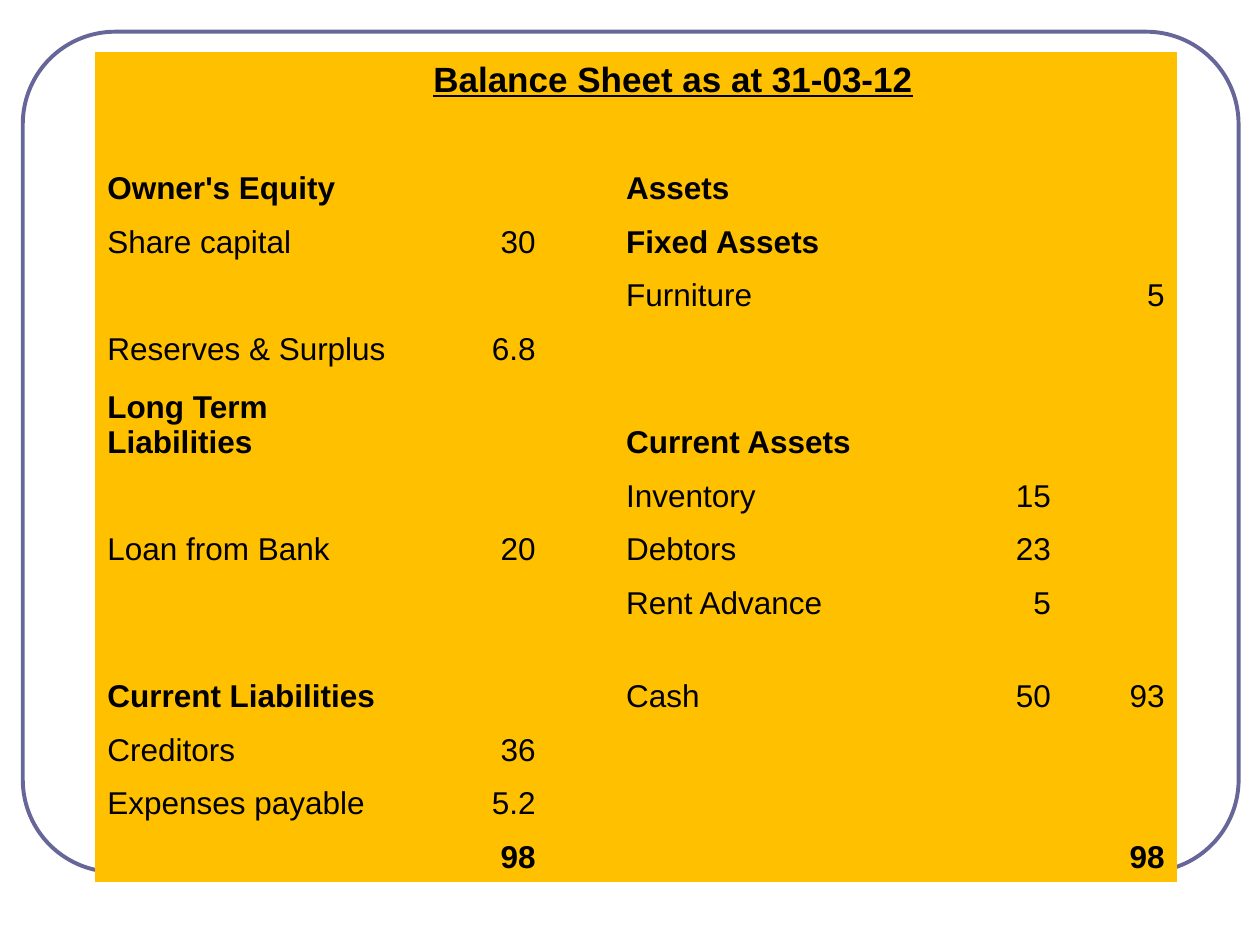
from typing import NamedTuple

from pptx import Presentation
from pptx.dml.color import RGBColor
from pptx.enum.shapes import MSO_SHAPE as Preset
from pptx.enum.text import MSO_ANCHOR as Anchor, PP_ALIGN as Align
from pptx.oxml.ns import qn
from pptx.util import Cm, Pt

GOLD = RGBColor(0xFF, 0xC0, 0x00)
SLATE = RGBColor(0x66, 0x66, 0x99)
BLACK = RGBColor(0x00, 0x00, 0x00)

NO_GRID_STYLE = "{2D5ABB26-0587-4C30-8999-92F81FD0307C}"
COLUMN_WIDTHS = [3.5, 3.07, 2.57, 1.32, 6.81, 2.26, 2.29]
ROW_COUNT = 14
ROW_HEIGHT = 1.08
TALL_ROW_HEIGHT = 1.88
TALL_ROWS = (6, 10)
EQUITY, EQUITY_AMOUNT, ASSET, ASSET_DETAIL, ASSET_TOTAL = 0, 2, 4, 5, 6


class Entry(NamedTuple):
    row: int
    column: int
    text: str
    span: int = 1
    bold: bool = False


HEADINGS = [
    Entry(2, EQUITY, "Owner's Equity", 2, True),
    Entry(2, ASSET, "Assets", 1, True),
    Entry(3, ASSET, "Fixed Assets", 1, True),
    Entry(6, EQUITY, "Long Term Liabilities", 2, True),
    Entry(6, ASSET, "Current Assets", 3, True),
    Entry(10, EQUITY, "Current Liabilities", 4, True),
]
ITEMS = [
    Entry(3, EQUITY, "Share capital", 2),
    Entry(4, ASSET, "Furniture"),
    Entry(5, EQUITY, "Reserves & Surplus", 2),
    Entry(7, ASSET, "Inventory"),
    Entry(8, EQUITY, "Loan from Bank", 2),
    Entry(8, ASSET, "Debtors"),
    Entry(9, ASSET, "Rent Advance"),
    Entry(10, ASSET, "Cash"),
    Entry(11, EQUITY, "Creditors"),
    Entry(12, EQUITY, "Expenses payable", 2),
]
AMOUNTS = [
    Entry(3, EQUITY_AMOUNT, "30"),
    Entry(4, ASSET_TOTAL, "5"),
    Entry(5, EQUITY_AMOUNT, "6.8"),
    Entry(7, ASSET_DETAIL, "15"),
    Entry(8, EQUITY_AMOUNT, "20"),
    Entry(8, ASSET_DETAIL, "23"),
    Entry(9, ASSET_DETAIL, "5"),
    Entry(10, ASSET_DETAIL, "50"),
    Entry(10, ASSET_TOTAL, "93"),
    Entry(11, EQUITY_AMOUNT, "36"),
    Entry(12, EQUITY_AMOUNT, "5.2"),
    Entry(13, EQUITY_AMOUNT, "98", bold=True),
    Entry(13, ASSET_TOTAL, "98", bold=True),
]


def add_border(page) -> None:
    border = page.shapes.add_shape(
        Preset.ROUNDED_RECTANGLE, Cm(0.46), Cm(0.64), Cm(24.51), Cm(16.94))
    border.adjustments[0] = 0.11
    border.shadow.inherit = False
    border.fill.background()
    border.line.color.rgb = SLATE
    border.line.width = Pt(2.25)


def add_sheet(page):
    height = (ROW_HEIGHT * (ROW_COUNT - len(TALL_ROWS))
              + TALL_ROW_HEIGHT * len(TALL_ROWS))
    frame = page.shapes.add_table(
        ROW_COUNT, len(COLUMN_WIDTHS), Cm(1.91), Cm(1.05),
        Cm(sum(COLUMN_WIDTHS)), Cm(height))
    for style in frame.element.iter(qn("a:tableStyleId")):
        style.text = NO_GRID_STYLE
    table = frame.table
    table.first_row = False
    table.horz_banding = False
    for column, width in zip(table.columns, COLUMN_WIDTHS):
        column.width = Cm(width)
    for index, row in enumerate(table.rows):
        row.height = Cm(TALL_ROW_HEIGHT if index in TALL_ROWS else ROW_HEIGHT)
    for cell in table.iter_cells():
        cell.fill.solid()
        cell.fill.fore_color.rgb = GOLD
    return table


def write_entry(table, entry: Entry, *, align=Align.LEFT, size: int = 18,
                underline: bool = False) -> None:
    cell = table.cell(entry.row, entry.column)
    if entry.span > 1:
        cell.merge(table.cell(entry.row, entry.column + entry.span - 1))
    cell.vertical_anchor = Anchor.BOTTOM
    para = cell.text_frame.paragraphs[0]
    para.alignment = align
    span = para.add_run()
    span.text = entry.text
    span.font.name = "Arial"
    span.font.size = Pt(size)
    span.font.bold = entry.bold
    span.font.underline = underline
    span.font.color.rgb = BLACK


def main() -> None:
    deck = Presentation()
    deck.slide_width = Cm(25.4)
    deck.slide_height = Cm(19.05)
    page = deck.slides.add_slide(deck.slide_layouts[6])
    add_border(page)
    table = add_sheet(page)
    write_entry(table, Entry(0, 2, "Balance Sheet as at 31-03-12", 4, True),
                size=20, underline=True)
    for entry in HEADINGS + ITEMS:
        write_entry(table, entry)
    for entry in AMOUNTS:
        write_entry(table, entry, align=Align.RIGHT)
    deck.save("out.pptx")


if __name__ == "__main__":
    main()
